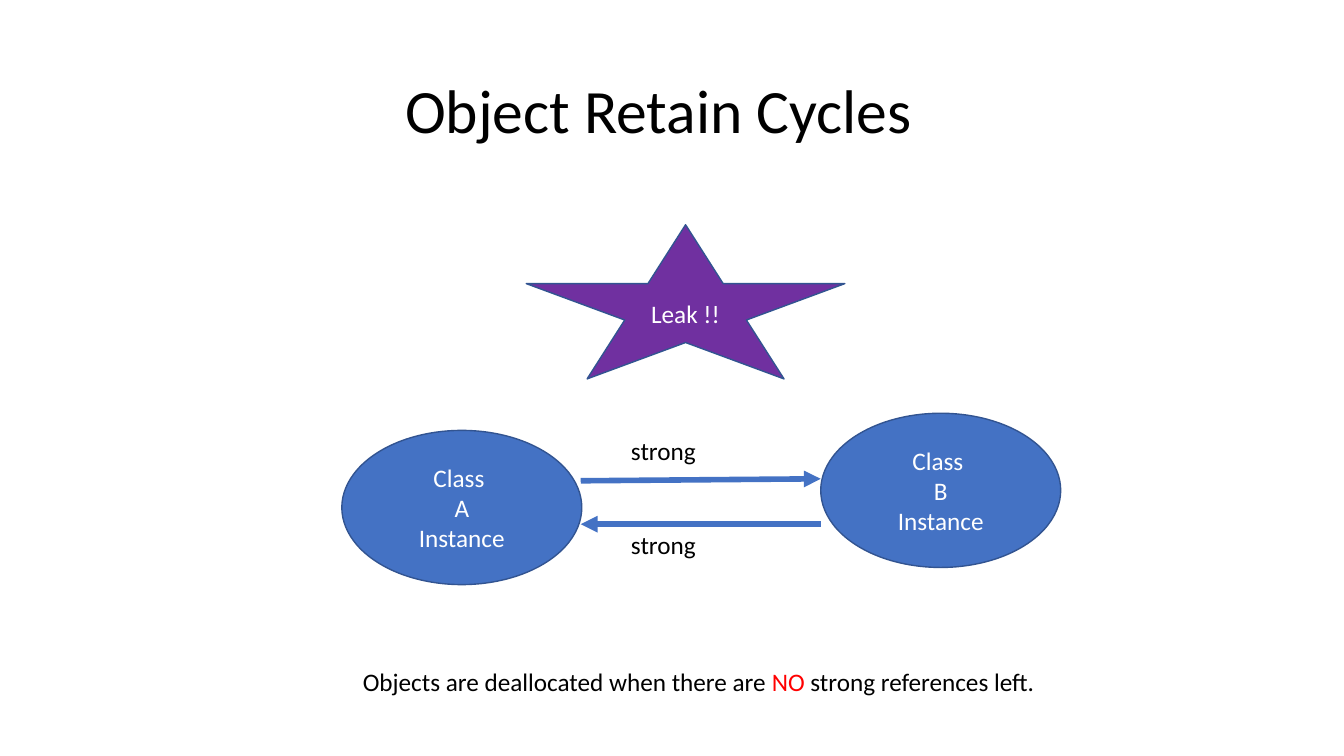
from lxml import etree
from pptx import Presentation
from pptx.dml.color import RGBColor
from pptx.enum import shapes, text
from pptx.oxml import ns
from pptx.util import Inches, Pt

THEME = {
    "font": "Calibri", "title": 44, "body": 18, "outline": 1, "arrow": 4,
    "black": "000000", "white": "FFFFFF", "red": "FF0000",
    "blue": "4472C4", "purple": "7030A0", "edge": "325491",
}

STAR, OVAL = shapes.MSO_SHAPE.STAR_5_POINT, shapes.MSO_SHAPE.OVAL

# Boxes are (left, top, width, height) in inches.
# Text is a list of paragraphs, each a list of (words, colour) runs.
TEXTS = [
    ((3.92, 0.4, 8.5, 1.45), "title", [("Object Retain Cycles", "black")]),
    ((6.16, 4.27, 1.23, 0.4), "body", [("strong", "black")]),
    ((6.16, 5.2, 1.23, 0.4), "body", [("strong", "black")]),
    ((3.5, 6.56, 8.14, 0.4), "body", [
        ("Objects are deallocated when there are ", "black"),
        ("NO", "red"),
        (" strong references left.", "black"),
    ]),
]
FIGURES = [
    (STAR, (5.22, 2.23, 3.16, 1.53), "purple", ["Leak !!"]),
    (OVAL, (3.39, 4.27, 2.38, 1.53), "blue", ["Class ", "A", "Instance"]),
    (OVAL, (8.14, 4.1, 2.38, 1.53), "blue", ["Class ", "B", "Instance"]),
]
ARROWS = [((5.76, 4.77), (8.14, 4.75)), ((8.14, 5.2), (5.76, 5.2))]


def color(name):
    return RGBColor.from_string(THEME[name])


def inches(values):
    return [Inches(v) for v in values]


def write(tf, paragraphs, size, align):
    tf.word_wrap = True
    for i, runs in enumerate(paragraphs):
        p = tf.paragraphs[0] if i == 0 else tf.add_paragraph()
        p.alignment = align
        for words, tint in runs:
            r = p.add_run()
            r.text = words
            r.font.name = THEME["font"]
            r.font.size = Pt(THEME[size])
            r.font.color.rgb = color(tint)


def add_text(slide, box, size, runs):
    tf = slide.shapes.add_textbox(*inches(box)).text_frame
    write(tf, [runs], size, text.PP_ALIGN.LEFT)
    if size == "title":
        tf.vertical_anchor = text.MSO_ANCHOR.MIDDLE
        tf.paragraphs[0].line_spacing = 0.9


def add_figure(slide, kind, box, fill, lines):
    sp = slide.shapes.add_shape(kind, *inches(box))
    sp.shadow.inherit = False
    sp.fill.solid()
    sp.fill.fore_color.rgb = color(fill)
    sp.line.color.rgb = color("edge")
    sp.line.width = Pt(THEME["outline"])
    sp.text_frame.vertical_anchor = text.MSO_ANCHOR.MIDDLE
    write(sp.text_frame, [[(line, "white")] for line in lines],
          "body", text.PP_ALIGN.CENTER)


def add_arrow(slide, start, end):
    line = slide.shapes.add_connector(
        shapes.MSO_CONNECTOR.STRAIGHT, *inches(start + end))
    line.line.color.rgb = color("blue")
    line.line.width = Pt(THEME["arrow"])
    etree.SubElement(line.line._get_or_add_ln(), ns.qn("a:tailEnd"),
                     type="triangle")
    etree.SubElement(line._element.spPr, ns.qn("a:effectLst"))


def main():
    prs = Presentation()
    prs.slide_width, prs.slide_height = inches((13.33, 7.5))
    slide = prs.slides.add_slide(prs.slide_layouts[6])
    for figure in FIGURES:
        add_figure(slide, *figure)
    for arrow in ARROWS:
        add_arrow(slide, *arrow)
    for item in TEXTS:
        add_text(slide, *item)
    prs.save("out.pptx")


if __name__ == "__main__":
    main()
